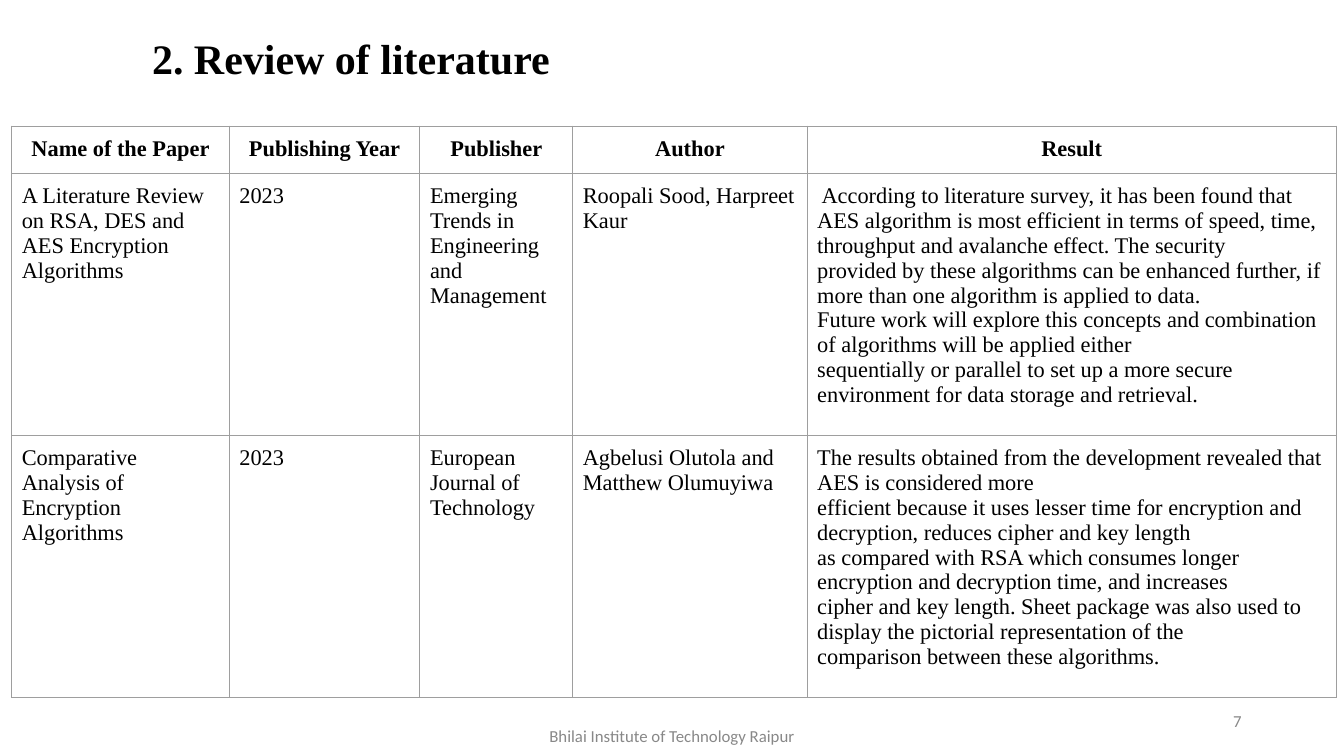
from dataclasses import dataclass

from lxml import etree
from pptx import Presentation
from pptx.dml.color import RGBColor
from pptx.enum.text import MSO_ANCHOR, MSO_AUTO_SIZE, PP_ALIGN
from pptx.oxml.ns import qn
from pptx.slide import Slide
from pptx.table import _Cell
from pptx.text.text import TextFrame
from pptx.util import Inches, Pt

LEFT, CENTER, RIGHT = PP_ALIGN.LEFT, PP_ALIGN.CENTER, PP_ALIGN.RIGHT
TOP, MIDDLE = MSO_ANCHOR.TOP, MSO_ANCHOR.MIDDLE
NO_AUTOFIT = MSO_AUTO_SIZE.NONE

SLIDE_W, SLIDE_H = Inches(13.33), Inches(7.5)
GRID_COLUMNS, GRID_ROWS = 160, 90
TITLE_ONLY = 5


@dataclass(frozen=True)
class TextStyle:
    size: int
    font: str
    color: str
    bold: bool = False


@dataclass(frozen=True)
class Theme:
    title: TextStyle = TextStyle(30, "Times New Roman", "000000", True)
    header: TextStyle = TextStyle(16, "Times New Roman", "000000", True)
    body: TextStyle = TextStyle(16, "Times New Roman", "000000")
    footer: TextStyle = TextStyle(12, "Calibri", "888888")
    border: str = "9E9E9E"
    border_width: float = 0.75
    cell_margin: float = 0.1


@dataclass(frozen=True)
class Area:
    """Position and size in grid columns and rows."""
    column: float
    row: float
    columns: float
    rows: float

    def emu(self) -> tuple[int, int, int, int]:
        return (across(self.column), down(self.row),
                across(self.columns), down(self.rows))


@dataclass(frozen=True)
class FooterNote:
    text: str
    area: Area
    align: PP_ALIGN


@dataclass(frozen=True)
class Paper:
    name: str
    year: str
    publisher: str
    author: str
    result: str

    def cells(self) -> tuple[str, ...]:
        return self.name, self.year, self.publisher, self.author, self.result


THEME = Theme()
TITLE_AREA = Area(16.9, 3.25, 77.6, 7.3)
TABLE_COLUMN, TABLE_ROW = 1.4, 15
COLUMN_SPANS = (25.9, 22.7, 18.2, 27.9, 63)
HEADER_SPAN, PAPER_SPAN = 5.65, 31.2

HEADINGS = ("Name of the Paper", "Publishing Year", "Publisher", "Author", "Result")
PAPERS = (
    Paper(
        "A Literature Review on RSA, DES and\nAES Encryption Algorithms",
        "2023",
        "Emerging Trends in Engineering and Management",
        "Roopali Sood, Harpreet Kaur",
        " According to literature survey, it has been found that AES algorithm is most "
        "efficient in terms of speed, time, throughput and avalanche effect. The security\n"
        "provided by these algorithms can be enhanced further, if more than one algorithm "
        "is applied to data.\n"
        "Future work will explore this concepts and combination of algorithms will be "
        "applied either\n"
        "sequentially or parallel to set up a more secure environment for data storage "
        "and retrieval.",
    ),
    Paper(
        "Comparative Analysis of Encryption Algorithms",
        "2023",
        "European Journal of Technology",
        "Agbelusi Olutola and Matthew Olumuyiwa",
        "The results obtained from the development revealed that AES is considered more\n"
        "efficient because it uses lesser time for encryption and decryption, reduces "
        "cipher and key length\n"
        "as compared with RSA which consumes longer encryption and decryption time, "
        "and increases\n"
        "cipher and key length. Sheet package was also used to display the pictorial "
        "representation of the\n"
        "comparison between these algorithms.",
    ),
)
FOOTER_NOTES = (
    FooterNote("Bhilai Institute of Technology Raipur", Area(53, 85.2, 54, 4.8), CENTER),
    FooterNote("7", Area(113, 83.4, 36, 4.8), RIGHT),
)


def across(columns: float) -> int:
    return round(SLIDE_W * columns / GRID_COLUMNS)


def down(rows: float) -> int:
    return round(SLIDE_H * rows / GRID_ROWS)


def write(frame: TextFrame, text: str, style: TextStyle, align: PP_ALIGN) -> None:
    frame.text = text
    frame.word_wrap = True
    for paragraph in frame.paragraphs:
        paragraph.alignment = align
        for run in paragraph.runs:
            run.font.size = Pt(style.size)
            run.font.name = style.font
            run.font.bold = style.bold
            run.font.color.rgb = RGBColor.from_string(style.color)


def add_borders(cell: _Cell) -> None:
    properties = cell._tc.get_or_add_tcPr()
    for side in ("a:lnL", "a:lnR", "a:lnT", "a:lnB"):
        line = etree.SubElement(properties, qn(side), w=str(Pt(THEME.border_width)))
        fill = etree.SubElement(line, qn("a:solidFill"))
        etree.SubElement(fill, qn("a:srgbClr"), val=THEME.border)


def fill_cell(cell: _Cell, text: str, style: TextStyle, align: PP_ALIGN) -> None:
    margin = Inches(THEME.cell_margin)
    cell.margin_left = cell.margin_right = margin
    cell.margin_top = cell.margin_bottom = margin
    cell.vertical_anchor = TOP
    add_borders(cell)
    cell.fill.background()
    write(cell.text_frame, text, style, align)


def add_title(slide: Slide, text: str) -> None:
    title = slide.shapes.title
    title.left, title.top, title.width, title.height = TITLE_AREA.emu()
    write(title.text_frame, text, THEME.title, LEFT)
    title.text_frame.vertical_anchor = TOP
    title.text_frame.auto_size = NO_AUTOFIT


def add_literature_table(slide: Slide) -> None:
    row_spans = (HEADER_SPAN,) + (PAPER_SPAN,) * len(PAPERS)
    area = Area(TABLE_COLUMN, TABLE_ROW, sum(COLUMN_SPANS), sum(row_spans))
    literature = slide.shapes.add_table(
        len(row_spans), len(COLUMN_SPANS), *area.emu()).table
    literature.first_row = literature.horz_banding = False
    for column, span in zip(literature.columns, COLUMN_SPANS):
        column.width = across(span)
    for row, span in zip(literature.rows, row_spans):
        row.height = down(span)

    for index, heading in enumerate(HEADINGS):
        fill_cell(literature.cell(0, index), heading, THEME.header, CENTER)
    for row_index, paper in enumerate(PAPERS, start=1):
        for index, text in enumerate(paper.cells()):
            fill_cell(literature.cell(row_index, index), text, THEME.body, LEFT)


def add_footer_note(slide: Slide, note: FooterNote) -> None:
    frame = slide.shapes.add_textbox(*note.area.emu()).text_frame
    frame.vertical_anchor = MIDDLE
    write(frame, note.text, THEME.footer, note.align)


def main() -> None:
    deck = Presentation()
    deck.slide_width, deck.slide_height = SLIDE_W, SLIDE_H
    slide = deck.slides.add_slide(deck.slide_layouts[TITLE_ONLY])

    # Heading
    add_title(slide, "2. Review of literature")

    # Reviewed papers
    add_literature_table(slide)

    # Institute and page number
    for note in FOOTER_NOTES:
        add_footer_note(slide, note)

    deck.save("out.pptx")


if __name__ == "__main__":
    main()
